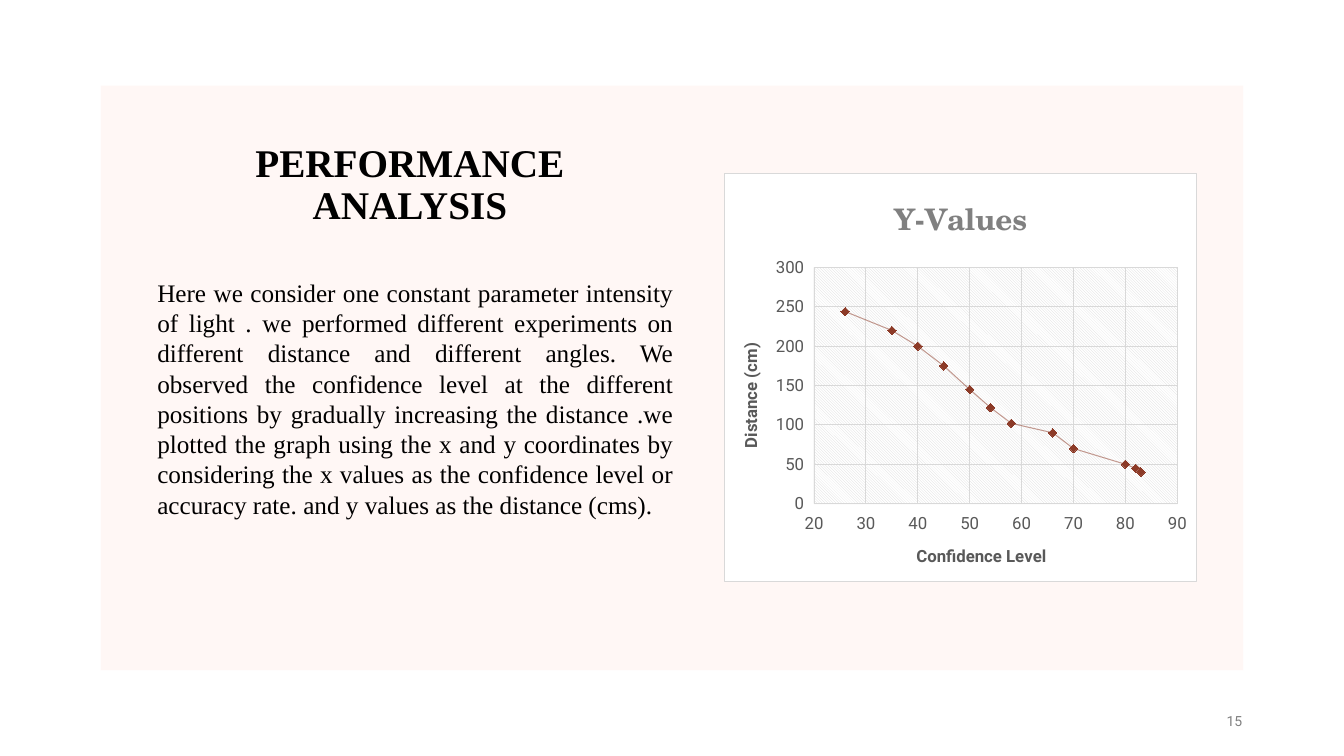
from dataclasses import dataclass

from pptx import Presentation
from pptx.chart.data import XyChartData
from pptx.dml.color import RGBColor
from pptx.enum.chart import XL_CHART_TYPE, XL_MARKER_STYLE, XL_TICK_LABEL_POSITION, XL_TICK_MARK
from pptx.enum.shapes import MSO_SHAPE
from pptx.enum.text import MSO_ANCHOR, MSO_AUTO_SIZE, PP_ALIGN
from pptx.oxml import parse_xml
from pptx.oxml.ns import nsdecls, qn
from pptx.util import Inches, Pt

SMOOTH_SCATTER = XL_CHART_TYPE.XY_SCATTER_SMOOTH
DIAMOND = XL_MARKER_STYLE.DIAMOND
NO_TICKS = XL_TICK_MARK.NONE
LABELS_LOW = XL_TICK_LABEL_POSITION.LOW
RECTANGLE = MSO_SHAPE.RECTANGLE
TOP, MIDDLE = MSO_ANCHOR.TOP, MSO_ANCHOR.MIDDLE
NO_AUTOFIT = MSO_AUTO_SIZE.NONE
CENTER, RIGHT, JUSTIFY = PP_ALIGN.CENTER, PP_ALIGN.RIGHT, PP_ALIGN.JUSTIFY

COLORS = {
    "panel": "FFF7F5", "text": "000000", "gray": "808080", "label": "595959",
    "grid": "D9D9D9", "white": "FFFFFF", "curve": "8C3A27",
}
SERIF, SANS, SCHOLA = "Times New Roman", "Roboto", "TeX Gyre Schola"

EXPLANATION = (
    "Here we consider one constant parameter intensity of light . we performed different "
    "experiments on different distance and different angles. We observed the confidence level "
    "at the different positions by gradually increasing the distance .we plotted the graph "
    "using the x and y coordinates by considering the x values as the confidence level or "
    "accuracy rate. and y values as the distance (cms)."
)
CONFIDENCE = (26, 35, 40, 45, 50, 54, 58, 66, 70, 80, 82, 83)
DISTANCE = (244, 220, 200, 175, 145, 122, 102, 90, 70, 50, 45, 40)


@dataclass(frozen=True)
class Style:
    font: str
    size: float
    color: str
    bold: bool = False


@dataclass(frozen=True)
class TextBlock:
    text: str
    box: tuple[float, float, float, float]
    style: Style
    align: PP_ALIGN
    anchor: MSO_ANCHOR
    spacing: float = 1.0


@dataclass(frozen=True)
class AxisPlan:
    title: str
    low: int
    high: int
    step: int
    rotation: int


HEADING = TextBlock("PERFORMANCE ANALYSIS", (1.56, 1.39, 5.01, 0.9),
                    Style(SERIF, 28, "text", True), CENTER, MIDDLE, 0.9)
BODY = TextBlock(EXPLANATION, (1.46, 2.7, 5.32, 2.52), Style(SERIF, 18, "text"), JUSTIFY, TOP)
PAGE = TextBlock("15", (9.42, 6.95, 3, 0.4), Style(SANS, 10, "gray"), RIGHT, MIDDLE)
CONFIDENCE_AXIS = AxisPlan("Confidence Level", 20, 90, 10, 0)
DISTANCE_AXIS = AxisPlan("Distance (cm)", 0, 300, 50, -5400000)


def rgb(name: str) -> RGBColor:
    return RGBColor.from_string(COLORS[name])


def set_all(target, values: dict) -> None:
    for key, value in values.items():
        setattr(target, key, value)


def set_font(font, style: Style) -> None:
    set_all(font, {"name": style.font, "size": Pt(style.size), "bold": style.bold})
    font.color.rgb = rgb(style.color)


def set_line(line, color: str) -> None:
    line.width = Pt(0.75)
    line.color.rgb = rgb(color)


def set_alpha(element, percent: int) -> None:
    color = next(element.iter(qn("a:srgbClr")))
    color.append(parse_xml(f'<a:alpha {nsdecls("a")} val="{percent * 1000}"/>'))


def write_block(shape, block: TextBlock) -> None:
    set_all(shape, dict(zip(("left", "top", "width", "height"), map(Inches, block.box))))
    frame = shape.text_frame
    set_all(frame, {"text": block.text, "word_wrap": True, "auto_size": NO_AUTOFIT,
                    "vertical_anchor": block.anchor})
    paragraph = frame.paragraphs[0]
    properties = paragraph._p.get_or_add_pPr()
    set_all(paragraph, {"alignment": block.align, "line_spacing": block.spacing,
                        "space_before": Pt(0)})
    properties.set("marL", "0")
    properties.set("indent", "0")
    properties.append(parse_xml(f'<a:buNone {nsdecls("a")}/>'))
    set_font(paragraph.runs[0].font, block.style)


def write_chart_title(owner, text: str, style: Style, rotation: int = 0) -> None:
    frame = owner.text_frame
    frame.text = text
    frame._txBody.find(qn("a:bodyPr")).set("rot", str(rotation))
    set_font(frame.paragraphs[0].runs[0].font, style)


def format_axis(axis, plan: AxisPlan) -> None:
    set_all(axis, {"minimum_scale": plan.low, "maximum_scale": plan.high,
                   "major_unit": plan.step, "has_major_gridlines": True,
                   "major_tick_mark": NO_TICKS, "minor_tick_mark": NO_TICKS,
                   "tick_label_position": LABELS_LOW})
    set_line(axis.major_gridlines.format.line, "grid")
    set_line(axis.format.line, "grid")
    set_alpha(axis._element.find(qn("c:spPr")), 54)
    set_font(axis.tick_labels.font, Style(SANS, 12, "label"))
    write_chart_title(axis.axis_title, plan.title, Style(SANS, 12, "label", True), plan.rotation)


def fill_chart_areas(chart) -> None:
    space = chart._chartSpace
    plot_area = next(space.iter(qn("c:plotArea")))
    # Inner plot position as fractions of the chart
    layout = plot_area.find(qn("c:layout"))
    if layout is not None:
        plot_area.remove(layout)
    places = "".join(f'<c:{key} val="{value}"/>' for key, value in
                     (("x", 0.19), ("y", 0.23), ("w", 0.77), ("h", 0.58)))
    plot_area.insert(0, parse_xml(
        f'<c:layout {nsdecls("c")}><c:manualLayout><c:layoutTarget val="inner"/>'
        f'<c:xMode val="edge"/><c:yMode val="edge"/>{places}</c:manualLayout></c:layout>'))
    # Hatched plot and bordered white card
    grid, white = (f'<a:srgbClr val="{COLORS[name]}"/>' for name in ("grid", "white"))
    plot_area.append(parse_xml(
        f'<c:spPr {nsdecls("c", "a")}><a:pattFill prst="ltDnDiag"><a:fgClr>{grid}</a:fgClr>'
        f'<a:bgClr>{white}</a:bgClr></a:pattFill><a:ln><a:noFill/></a:ln></c:spPr>'))
    space.find(qn("c:chart")).addnext(parse_xml(
        f'<c:spPr {nsdecls("c", "a")}><a:solidFill>{white}</a:solidFill>'
        f'<a:ln w="9525"><a:solidFill>{grid}</a:solidFill></a:ln></c:spPr>'))


def add_distance_chart(slide) -> None:
    data = XyChartData()
    points = data.add_series("Y-Values")
    for confidence, distance in zip(CONFIDENCE, DISTANCE):
        points.add_data_point(confidence, distance)
    box = map(Inches, (7.18, 1.72, 4.69, 4.05))
    chart = slide.shapes.add_chart(SMOOTH_SCATTER, *box, data).chart
    set_all(chart, {"has_legend": False, "has_title": True})
    set_font(chart.font, Style(SANS, 10, "text"))
    write_chart_title(chart.chart_title, "Y-Values", Style(SCHOLA, 21.3, "gray", True))
    format_axis(chart.category_axis, CONFIDENCE_AXIS)
    format_axis(chart.value_axis, DISTANCE_AXIS)

    # Smoothed curve with diamond markers
    chart.plots[0].vary_by_categories = False
    curve = chart.plots[0].series[0]
    curve.smooth = True
    set_line(curve.format.line, "curve")
    set_alpha(curve._element.find(qn("c:spPr")), 50)
    set_all(curve.marker, {"style": DIAMOND, "size": 6})
    curve.marker.format.fill.solid()
    curve.marker.format.fill.fore_color.rgb = rgb("curve")
    curve.marker.format.line.fill.background()
    fill_chart_areas(chart)


def main() -> None:
    deck = Presentation()
    set_all(deck, {"slide_width": Inches(13.33), "slide_height": Inches(7.5)})
    slide = deck.slides.add_slide(deck.slide_layouts[1])

    # Tinted panel behind everything
    panel = slide.shapes.add_shape(RECTANGLE, *map(Inches, (1, 0.85, 11.33, 5.8)))
    panel.shadow.inherit = False
    panel.fill.solid()
    panel.fill.fore_color.rgb = rgb("panel")
    set_alpha(panel._element.spPr, 95)
    panel.line.fill.background()
    slide.shapes._spTree.insert(2, panel._element)

    # Heading, explanation and page number
    write_block(slide.shapes.title, HEADING)
    write_block(slide.placeholders[1], BODY)
    write_block(slide.shapes.add_textbox(0, 0, 0, 0), PAGE)

    add_distance_chart(slide)
    deck.save("out.pptx")


if __name__ == "__main__":
    main()
